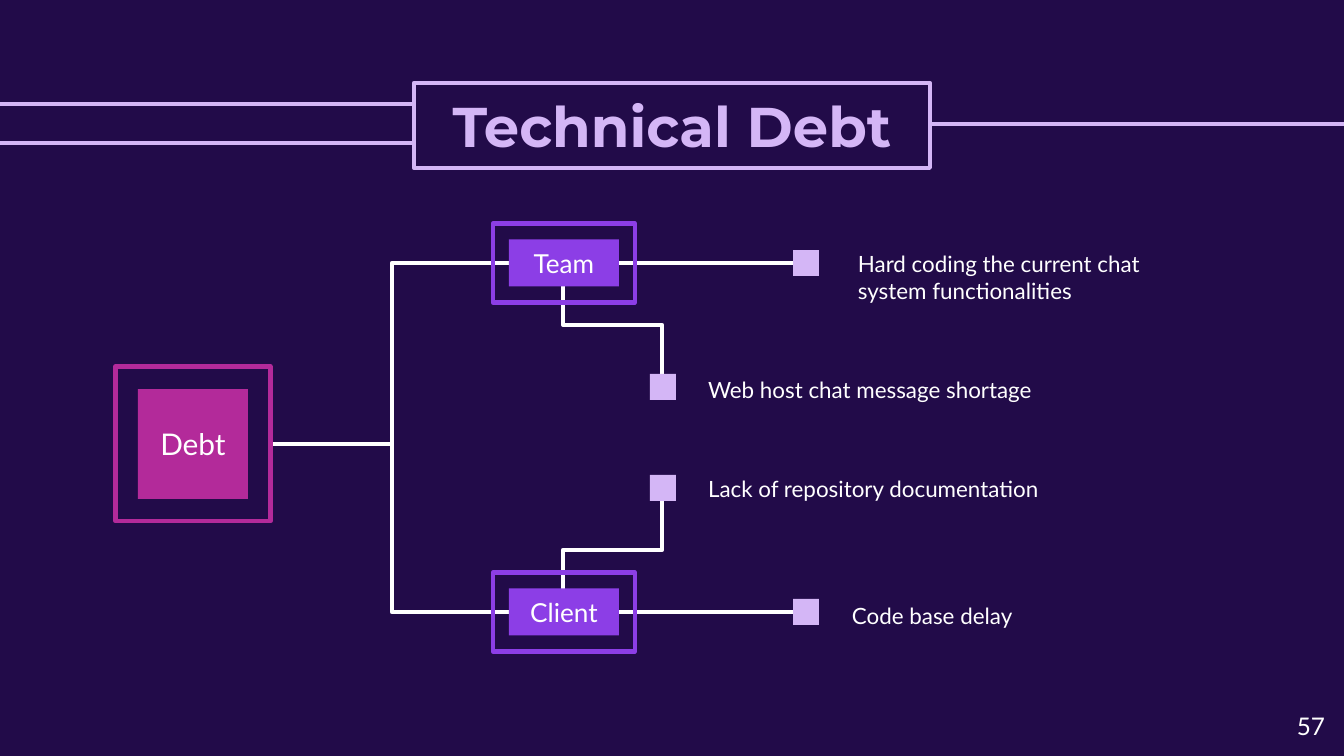
from lxml.etree import SubElement
from pptx import Presentation
from pptx.dml.color import RGBColor
from pptx.enum.shapes import MSO_CONNECTOR, MSO_SHAPE
from pptx.enum.text import MSO_ANCHOR, PP_ALIGN
from pptx.oxml.ns import qn
from pptx.util import Emu, Pt

EMU_PER_PX = 914400 / 134.4
WIDTH, HEIGHT = 1344, 756
INSET = 13
LINE_WIDTH = 2.25
NIGHT, LILAC, VIOLET, MAGENTA, WHITE = "220B49", "D4B6F6", "8C3EE6", "B32A9A", "FFFFFF"


def px(value):
    return Emu(round(value * EMU_PER_PX))


def color(hex_string):
    return RGBColor.from_string(hex_string)


def add_box(page, left, top, width, height, fill=None, line=None):
    box = page.shapes.add_shape(MSO_SHAPE.RECTANGLE, px(left), px(top), px(width), px(height))
    box.shadow.inherit = False
    if fill:
        box.fill.solid()
        box.fill.fore_color.rgb = color(fill)
    else:
        box.fill.background()
    if line:
        box.line.color.rgb = color(line)
        box.line.width = Pt(LINE_WIDTH)
    else:
        box.line.fill.background()
    return box


def write(box, text, size, align=PP_ALIGN.CENTER, anchor=MSO_ANCHOR.MIDDLE,
          font="Lato", ink=WHITE, bold=False, spacing=1.0):
    frame = box.text_frame
    frame.word_wrap = True
    frame.vertical_anchor = anchor
    frame.margin_left = frame.margin_right = px(INSET)
    frame.margin_top = frame.margin_bottom = px(INSET)
    para = frame.paragraphs[0]
    para.alignment = align
    para.line_spacing = spacing
    span = para.add_run()
    span.text = text
    span.font.name = font
    span.font.size = Pt(size)
    span.font.bold = bold
    span.font.color.rgb = color(ink)


def add_label(page, left, top, width, height, text, size=12, align=PP_ALIGN.LEFT, spacing=1.0):
    box = page.shapes.add_textbox(px(left), px(top), px(width), px(height))
    write(box, text, size, align, MSO_ANCHOR.TOP, spacing=spacing)


def add_line(page, x1, y1, x2, y2, ink=WHITE, kind=MSO_CONNECTOR.STRAIGHT):
    line = page.shapes.add_connector(kind, px(x1), px(y1), px(x2), px(y2))
    line.line.color.rgb = color(ink)
    line.line.width = Pt(LINE_WIDTH)
    SubElement(line._element.spPr, qn("a:effectLst"))
    return line


def add_vertical_elbow(page, x1, y1, x2, y2):
    """Elbow that leaves and arrives vertically: a level one turned by 270 degrees."""
    mid_x, mid_y = (x1 + x2) / 2, (y1 + y2) / 2
    half_x, half_y = (x2 - x1) / 2, (y2 - y1) / 2
    elbow = add_line(page, mid_x + half_y, mid_y - half_x, mid_x - half_y, mid_y + half_x,
                     kind=MSO_CONNECTOR.ELBOW)
    elbow._element.spPr.find(qn("a:xfrm")).set("rot", str(270 * 60000))


def add_header(page):
    for y, start, end in ((143, 0, 622), (104, 0, 622), (124, 583, WIDTH)):
        add_line(page, start, y, end, y, LILAC)
    title = add_box(page, 414, 83, 516, 85, NIGHT, LILAC)
    write(title, "Technical Debt", 30, font="Montserrat", ink=LILAC, bold=True)


def add_node(page, center_x, center_y, frame_size, core_size, ink, text, size):
    for (width, height), fill, line in ((frame_size, None, ink), (core_size, ink, None)):
        box = add_box(page, center_x - width / 2, center_y - height / 2, width, height, fill, line)
    write(box, text, size)


def main():
    deck = Presentation()
    deck.slide_width, deck.slide_height = px(WIDTH), px(HEIGHT)
    page = deck.slides.add_slide(deck.slide_layouts[6])
    page.background.fill.solid()
    page.background.fill.fore_color.rgb = color(NIGHT)

    # Tree: root, branches and the elbow from each branch to its inner leaf
    root_y, team_y, client_y = 444, 263, 612
    marker, outer_x, inner_x = 26, 793, 650
    add_line(page, 270, root_y, 392, root_y)
    for branch_y, leaf_y in ((team_y, 387), (client_y, 488)):
        add_line(page, 274, root_y, 510, branch_y, kind=MSO_CONNECTOR.ELBOW)
        add_line(page, 576, branch_y, outer_x, branch_y)
        add_vertical_elbow(page, 563, branch_y, 662, leaf_y)
        for left, center_y in ((inner_x, leaf_y), (outer_x, branch_y)):
            add_box(page, left, center_y - marker / 2, marker, marker, LILAC)

    # Nodes
    add_node(page, 193, root_y, (155, 155), (110, 110), MAGENTA, "Debt", 16)
    for center_y, text in ((team_y, "Team"), (client_y, "Client")):
        add_node(page, 564, center_y, (142, 79), (110, 47), VIOLET, text, 14)

    # Leaf labels
    add_label(page, 845, 237, 332, 85, "Hard coding the current chat system functionalities")
    add_label(page, 695, 359, 457, 54, "Web host chat message shortage", spacing=1.15)
    add_label(page, 695, 462, 388, 54, "Lack of repository documentation")
    add_label(page, 839, 585, 280, 54, "Code base delay", spacing=1.15)

    # Header and page number
    add_header(page)
    add_label(page, 1258, 698, 80, 58, "57", 13, PP_ALIGN.RIGHT)
    deck.save("out.pptx")


if __name__ == "__main__":
    main()
